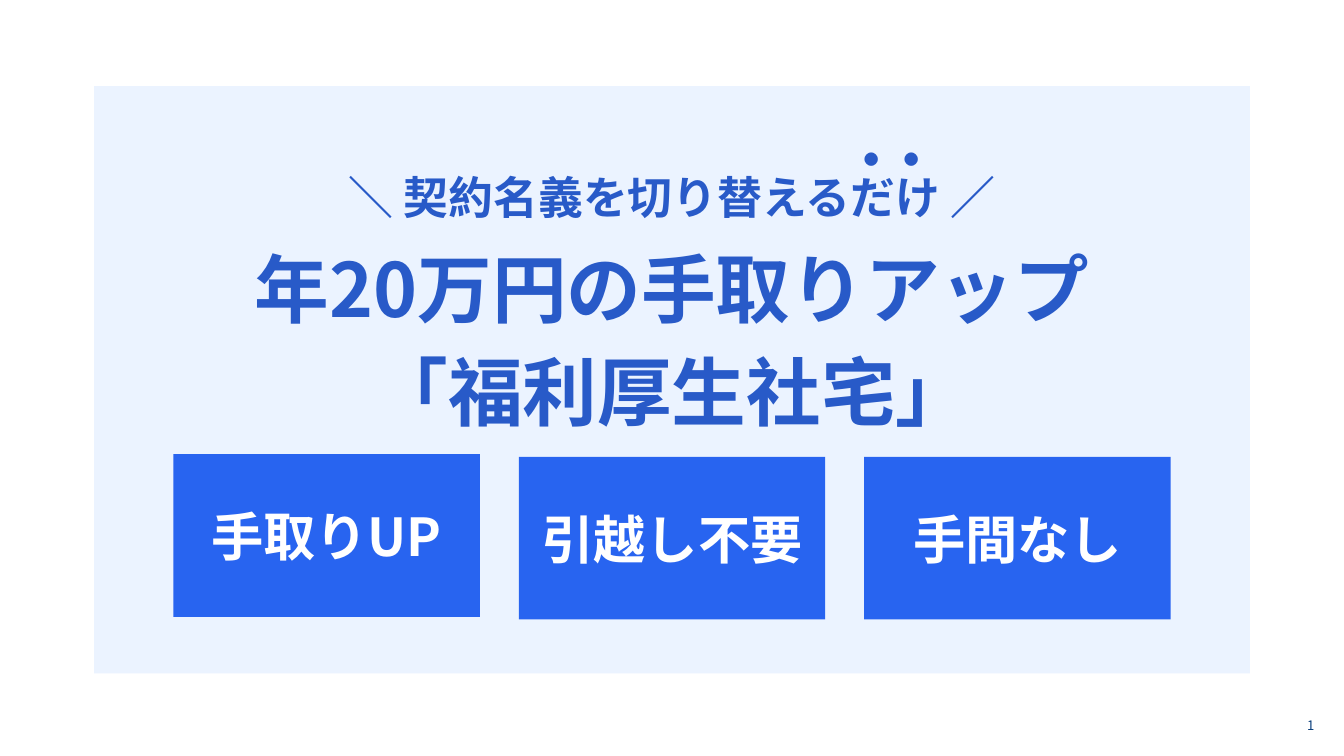
from dataclasses import dataclass
from typing import Optional

from lxml.etree import SubElement
from pptx import Presentation
from pptx.dml.color import RGBColor
from pptx.enum.shapes import MSO_SHAPE
from pptx.enum.text import MSO_ANCHOR, MSO_AUTO_SIZE, PP_ALIGN
from pptx.oxml.ns import qn
from pptx.util import Inches, Pt

FONT = "Noto Sans CJK JP"
PALE = RGBColor(0xEB, 0xF3, 0xFF)
BLUE = RGBColor(0x28, 0x64, 0xF0)
INK = RGBColor(0x28, 0x5A, 0xC8)
NAVY = RGBColor(0x09, 0x3E, 0x7B)
WHITE = RGBColor(0xFF, 0xFF, 0xFF)


@dataclass
class Box:
    left: float
    top: float
    width: float
    height: float
    lines: tuple[str, ...] = ()
    size: float = 28
    color: RGBColor = INK
    fill: Optional[RGBColor] = None
    inset: float = 0.04
    space: Optional[float] = None
    bold: bool = True
    align: PP_ALIGN = PP_ALIGN.CENTER


def write(frame, box: Box) -> None:
    """Set the text of a box, one paragraph for each line."""
    frame.word_wrap = True
    frame.margin_left = frame.margin_right = Inches(box.inset)
    frame.margin_top = frame.margin_bottom = Inches(box.inset)
    if box.fill is None:
        frame.vertical_anchor = MSO_ANCHOR.TOP
        frame.auto_size = MSO_AUTO_SIZE.SHAPE_TO_FIT_TEXT
    else:
        frame.vertical_anchor = MSO_ANCHOR.MIDDLE
    for i, line in enumerate(box.lines):
        para = frame.add_paragraph() if i else frame.paragraphs[0]
        para.alignment = box.align
        if box.space:
            para.line_spacing = box.space
        run = para.add_run()
        run.text = line
        font = run.font
        font.name = FONT
        font.size = Pt(box.size)
        font.bold = box.bold
        font.color.rgb = box.color
        # East Asian letters need their own font entry
        SubElement(run._r.get_or_add_rPr(), qn("a:ea"), typeface=FONT)


def draw(slide, box: Box) -> None:
    """Draw a filled rectangle, or a text box when there is no fill."""
    area = [Inches(n) for n in (box.left, box.top, box.width, box.height)]
    if box.fill is None:
        shape = slide.shapes.add_textbox(*area)
    else:
        shape = slide.shapes.add_shape(MSO_SHAPE.RECTANGLE, *area)
        shape.shadow.inherit = False
        shape.fill.solid()
        shape.fill.fore_color.rgb = box.fill
        shape.line.fill.background()
    if box.lines:
        write(shape.text_frame, box)


def main() -> None:
    # Wide 16:9 page
    deck = Presentation()
    deck.slide_width, deck.slide_height = Inches(10), Inches(10 * 9 / 16)
    slide = deck.slides.add_slide(deck.slide_layouts[6])

    # Page number
    draw(slide, Box(8.66, 5.29, 1.17, 0.22, ("1",), 7, NAVY, inset=0.05,
                    bold=False, align=PP_ALIGN.RIGHT))

    # Pale panel, with the title on its upper part
    for top, height in ((0.64, 4.35), (1.99, 3.02)):
        draw(slide, Box(0.7, top, 8.6, height, fill=PALE))
    title = ("年20万円の手取りアップ", "「福利厚生社宅」")
    draw(slide, Box(0.7, 1.38, 8.6, 2.19, title, 40, fill=PALE, space=1.15))

    # Three benefits; the first sits slightly higher
    cards = (("手取りUP", 3.38), ("引越し不要", 3.4), ("手間なし", 3.4))
    for i, (label, top) in enumerate(cards):
        draw(slide, Box(1.29 + 2.57 * i, top, 2.28, 1.21, (label,),
                        color=WHITE, fill=BLUE))

    # Emphasis dots above the last two letters of the lead
    for left in (6.12, 6.42):
        draw(slide, Box(left, 0.78, 0.73, 0.67, ("・",), inset=0.1, space=1.15))

    # Lead line
    draw(slide, Box(2.39, 1.1, 5.22, 0.61, ("＼ 契約名義を切り替えるだけ ／",), 24,
                    inset=0.1, space=1.15))

    deck.save("out.pptx")


if __name__ == "__main__":
    main()
